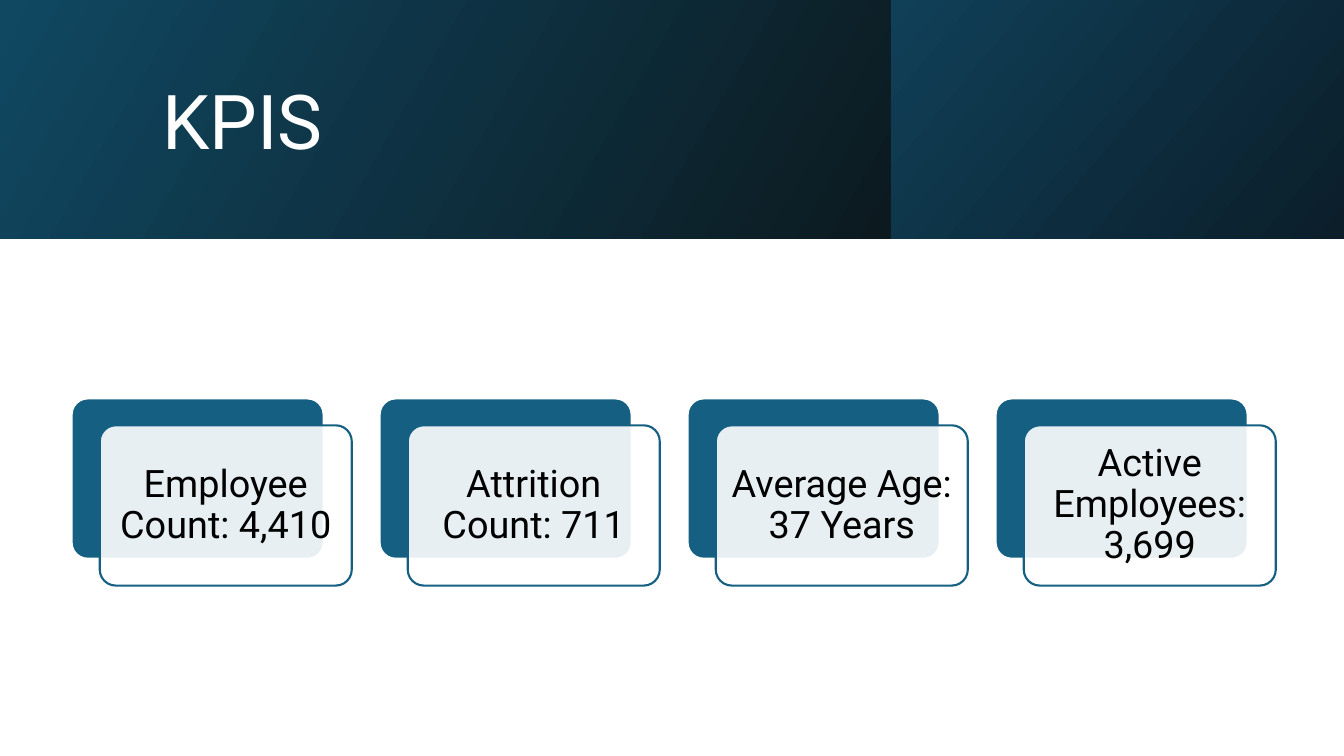
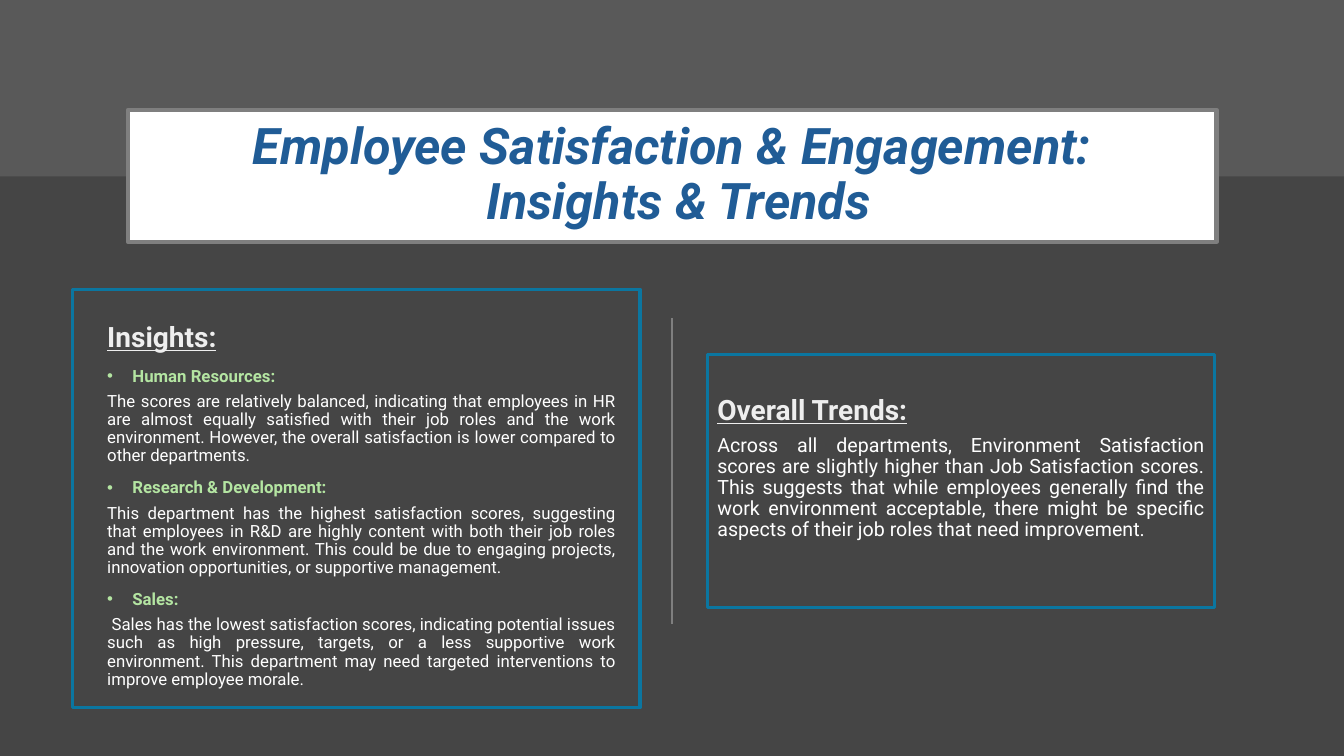
from typing import NamedTuple

from lxml.etree import SubElement
from pptx import Presentation
from pptx.dml.color import RGBColor
from pptx.enum.shapes import MSO_CONNECTOR, MSO_SHAPE
from pptx.enum.text import MSO_ANCHOR, MSO_AUTO_SIZE, PP_ALIGN
from pptx.oxml.ns import qn
from pptx.util import Pt

FONT = "Roboto"
WHITE = RGBColor(0xFF, 0xFF, 0xFF)
BLACK = RGBColor(0x00, 0x00, 0x00)
TEAL = RGBColor(0x15, 0x60, 0x82)
DEEP = RGBColor(0x10, 0x48, 0x62)
NIGHT = RGBColor(0x0C, 0x1A, 0x20)
OCEAN = RGBColor(0x10, 0x40, 0x58)
DUSK = RGBColor(0x0B, 0x1E, 0x2A)
CHARCOAL = RGBColor(0x45, 0x45, 0x45)
SLATE = RGBColor(0x59, 0x59, 0x59)
GRAY = RGBColor(0x7F, 0x7F, 0x7F)
BLUE = RGBColor(0x20, 0x5C, 0x96)
CYAN = RGBColor(0x0B, 0x76, 0xA0)
PALE = RGBColor(0xEE, 0xEE, 0xEE)
GREEN = RGBColor(0xB4, 0xE5, 0xA2)


class Box(NamedTuple):
    left: float
    top: float
    width: float
    height: float


class Style(NamedTuple):
    size: float
    color: RGBColor
    align: PP_ALIGN = PP_ALIGN.LEFT
    bold: bool = False
    italic: bool = False
    underline: bool = False
    before: float = 0
    after: float = 0
    bullet: bool = False


class Item(NamedTuple):
    text: str
    style: Style


SLIDE = Box(0, 0, 960, 540)

KPI_HEAD = Style(54, WHITE)
KPI_TEXT = Style(27, BLACK, PP_ALIGN.CENTER)
KPI_BAND = 170.64
KPI_SPLIT = 636
KPIS = (
    "Employee Count: 4,410",
    "Attrition Count: 711",
    "Average Age: 37 Years",
    "Active Employees: 3,699",
)
CARD = Box(51.2, 284.6, 180, 114.5)
CARD_STEP = 220
CARD_SHIFT = (20.1, 19.2)

TREND_HEAD = Style(36, BLUE, PP_ALIGN.CENTER, bold=True, italic=True)
HEADING = Style(20, PALE, bold=True, underline=True, before=10)
TOPIC = Style(12, GREEN, PP_ALIGN.JUSTIFY, bold=True, before=10, bullet=True)
DETAIL = Style(12, WHITE, PP_ALIGN.JUSTIFY, before=5)
INSIGHTS = (
    Item("Insights:", HEADING),
    Item("Human Resources:", TOPIC),
    Item("The scores are relatively balanced, indicating that employees in HR "
         "are almost equally satisfied with their job roles and the work "
         "environment. However, the overall satisfaction is lower compared to "
         "other departments.", DETAIL),
    Item("Research & Development:", TOPIC),
    Item("This department has the highest satisfaction scores, suggesting that "
         "employees in R&D are highly content with both their job roles and "
         "the work environment. This could be due to engaging projects, "
         "innovation opportunities, or supportive management.", DETAIL),
    Item("Sales:", TOPIC),
    Item(" Sales has the lowest satisfaction scores, indicating potential "
         "issues such as high pressure, targets, or a less supportive work "
         "environment. This department may need targeted interventions to "
         "improve employee morale.", DETAIL),
)
TRENDS = (
    Item("Overall Trends:", HEADING._replace(before=0, after=6)),
    Item("Across all departments, Environment Satisfaction scores are slightly "
         "higher than Job Satisfaction scores. This suggests that while "
         "employees generally find the work environment acceptable, there "
         "might be specific aspects of their job roles that need improvement.",
         Style(14, WHITE, PP_ALIGN.JUSTIFY, after=6)),
)


def place(shape, box: Box) -> None:
    shape.left, shape.top, shape.width, shape.height = map(Pt, box)


def write(para, item: Item) -> None:
    """Fill one paragraph, replacing inherited bullets and spacing."""
    style = item.style
    para.text = item.text
    props = para._p.get_or_add_pPr()
    indent = Pt(18) if style.bullet else 0
    props.set("marL", str(indent))
    props.set("indent", str(-indent))
    if style.bullet:
        SubElement(props, qn("a:buFont")).set("typeface", "Arial")
        SubElement(props, qn("a:buChar")).set("char", "•")
    else:
        SubElement(props, qn("a:buNone"))
    para.alignment = style.align
    para.line_spacing = 0.9
    para.space_before = Pt(style.before)
    para.space_after = Pt(style.after)
    font = para.font
    font.name, font.size = FONT, Pt(style.size)
    font.bold, font.italic = style.bold, style.italic
    font.underline = style.underline
    font.color.rgb = style.color


def fill_text(shape, items, anchor=MSO_ANCHOR.TOP) -> None:
    frame = shape.text_frame
    frame.word_wrap = True
    frame.auto_size = MSO_AUTO_SIZE.NONE
    frame.vertical_anchor = anchor
    for i, item in enumerate(items):
        write(frame.add_paragraph() if i else frame.paragraphs[0], item)


def add_title(slide, text: str, box: Box, style: Style):
    title = slide.shapes.title
    place(title, box)
    fill_text(title, [Item(text, style)], MSO_ANCHOR.MIDDLE)
    return title


def add_rect(slide, box: Box, fill=None, line=None, weight=1.5,
             kind=MSO_SHAPE.RECTANGLE):
    shape = slide.shapes.add_shape(kind, *map(Pt, box))
    shape.shadow.inherit = False
    if fill is None:
        shape.fill.background()
    else:
        shape.fill.solid()
        shape.fill.fore_color.rgb = fill
    if line is None:
        shape.line.fill.background()
    else:
        shape.line.color.rgb = line
        shape.line.width = Pt(weight)
    return shape


def add_band(slide, box: Box, color: RGBColor):
    """Add a plain rectangle behind everything else on the slide."""
    band = add_rect(slide, box, color)
    band.element.getparent().insert(2, band.element)
    return band


def shade(shape, start: RGBColor, end: RGBColor, angle: float) -> None:
    shape.fill.gradient()
    shape.fill.gradient_angle = angle
    for stop, color in zip(shape.fill.gradient_stops, (start, end)):
        stop.color.rgb = color


def add_card(slide, box: Box, text: str) -> None:
    """Draw a filled card with a translucent text card shifted over it."""
    right, down = CARD_SHIFT
    front = box._replace(left=box.left + right, top=box.top + down)
    pair = [add_rect(slide, spot, fill, line, kind=MSO_SHAPE.ROUNDED_RECTANGLE)
            for spot, fill, line in ((box, TEAL, WHITE), (front, WHITE, TEAL))]
    for card in pair:
        card.adjustments[0] = 0.1
    top = pair[1]
    color = top.element.spPr.find(f"{qn('a:solidFill')}/{qn('a:srgbClr')}")
    SubElement(color, qn("a:alpha")).set("val", "90000")
    frame = top.text_frame
    frame.margin_left = frame.margin_right = Pt(8)
    frame.margin_top = frame.margin_bottom = Pt(8)
    fill_text(top, [Item(text, KPI_TEXT)], MSO_ANCHOR.MIDDLE)


def add_rule(slide, x: float, top: float, bottom: float) -> None:
    rule = slide.shapes.add_connector(
        MSO_CONNECTOR.STRAIGHT, Pt(x), Pt(top), Pt(x), Pt(bottom))
    rule.line.color.rgb = GRAY
    rule.line.width = Pt(1.5)
    SubElement(rule.element.spPr, qn("a:effectLst"))


def new_slide(deck, layout: int, color: RGBColor):
    slide = deck.slides.add_slide(deck.slide_layouts[layout])
    slide.background.fill.solid()
    slide.background.fill.fore_color.rgb = color
    return slide


def kpi_slide(deck) -> None:
    slide = new_slide(deck, 5, WHITE)
    left = add_band(slide, Box(0, 0, KPI_SPLIT, KPI_BAND), DEEP)
    shade(left, DEEP, NIGHT, 330)
    rest = SLIDE.width - KPI_SPLIT
    right = add_band(slide, Box(KPI_SPLIT, 0, rest, KPI_BAND), OCEAN)
    shade(right, OCEAN, DUSK, 320)
    add_title(slide, "KPIS", Box(108.7, 27.4, 765, 124), KPI_HEAD)
    for i, text in enumerate(KPIS):
        add_card(slide, CARD._replace(left=CARD.left + i * CARD_STEP), text)


def trend_slide(deck) -> None:
    slide = new_slide(deck, 3, CHARCOAL)
    add_band(slide, Box(0, 0, SLIDE.width, 126), SLATE)
    title = add_title(
        slide, "Employee Satisfaction & Engagement:\n Insights & Trends",
        Box(91.4, 78.5, 777.6, 94.3), TREND_HEAD)
    title.fill.solid()
    title.fill.fore_color.rgb = WHITE
    title.line.color.rgb = GRAY
    title.line.width = Pt(3)
    lists = ((1, Box(69.4, 227.5, 378, 258), INSIGHTS),
             (2, Box(505.2, 279.6, 362.6, 150), TRENDS))
    for index, box, items in lists:
        body = slide.placeholders[index]
        place(body, box)
        fill_text(body, items)
    add_rule(slide, 480, 227.5, 445.5)
    for frame in (Box(51.8, 206.6, 405.4, 299), Box(505.4, 253.4, 362.2, 180.7)):
        add_rect(slide, frame, line=CYAN, weight=2.25)


def main() -> None:
    deck = Presentation()
    deck.slide_width, deck.slide_height = Pt(SLIDE.width), Pt(SLIDE.height)
    kpi_slide(deck)
    trend_slide(deck)
    deck.save("out.pptx")


if __name__ == "__main__":
    main()
